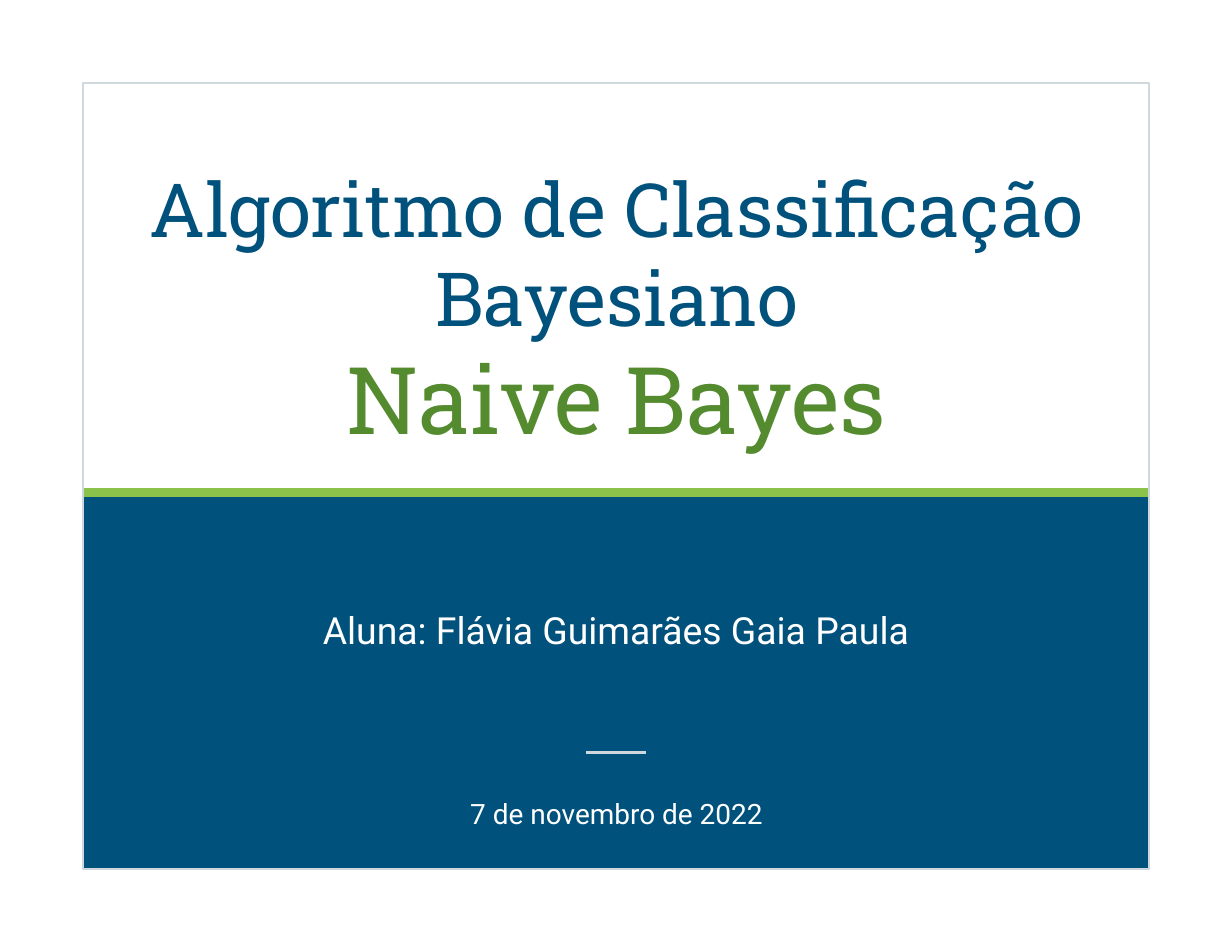
from dataclasses import dataclass

import lxml.etree
import pptx
import pptx.dml.color
import pptx.enum.shapes
import pptx.enum.text
import pptx.oxml.ns
import pptx.slide
import pptx.util

Inches = pptx.util.Inches
Pt = pptx.util.Pt

NAVY, GREEN, LIME, GREY, WHITE = "00517C", "558B2F", "8BC34A", "CFD8DC", "FFFFFF"


@dataclass
class Panel:
    top: float
    height: float
    fill: str


@dataclass
class Rule:
    left: float
    right: float
    y: float
    color: str
    width: float


@dataclass
class Line:
    text: str
    size: int
    color: str


PANELS = [Panel(0.74, 3.92, WHITE), Panel(4.4, 3.36, NAVY)]
RULES = [Rule(0.75, 10.25, 4.4, LIME, 6), Rule(5.23, 5.77, 6.72, GREY, 1.5)]
TITLE = [
    Line("Algoritmo de Classificação Bayesiano", 48, NAVY),
    Line("Naive Bayes", 60, GREEN),
]
STUDENT = [Line("Aluna: Flávia Guimarães Gaia Paula", 24, WHITE)]
DATE = [Line("7 de novembro de 2022", 18, WHITE)]


def rgb(color: str) -> pptx.dml.color.RGBColor:
    return pptx.dml.color.RGBColor.from_string(color)


def add_panel(s: pptx.slide.Slide, panel: Panel) -> None:
    sp = s.shapes.add_shape(
        pptx.enum.shapes.MSO_SHAPE.RECTANGLE,
        Inches(0.74), Inches(panel.top), Inches(9.52), Inches(panel.height),
    )
    sp.shadow.inherit = False
    sp.fill.solid()
    sp.fill.fore_color.rgb = rgb(panel.fill)
    sp.line.color.rgb = rgb(GREY)
    sp.line.width = Pt(1.5)


def add_rule(s: pptx.slide.Slide, rule: Rule) -> None:
    sp = s.shapes.add_connector(
        pptx.enum.shapes.MSO_CONNECTOR.STRAIGHT,
        Inches(rule.left), Inches(rule.y), Inches(rule.right), Inches(rule.y),
    )
    sp.line.color.rgb = rgb(rule.color)
    sp.line.width = Pt(rule.width)
    lxml.etree.SubElement(sp._element.spPr, pptx.oxml.ns.qn("a:effectLst"))


def add_text(
    s: pptx.slide.Slide,
    lines: list[Line],
    *,
    left: float,
    top: float,
    width: float,
    height: float,
    font: str = "Roboto",
    anchor: pptx.enum.text.MSO_ANCHOR = pptx.enum.text.MSO_ANCHOR.TOP,
    spacing: float = 1.15,
) -> None:
    sp = s.shapes.add_textbox(Inches(left), Inches(top), Inches(width), Inches(height))
    tf = sp.text_frame
    tf.word_wrap = True
    tf.vertical_anchor = anchor
    tf.margin_left = tf.margin_right = tf.margin_top = tf.margin_bottom = Inches(0.12)
    for i, line in enumerate(lines):
        p = tf.add_paragraph() if i else tf.paragraphs[0]
        p.alignment = pptx.enum.text.PP_ALIGN.CENTER
        p.line_spacing = spacing
        r = p.add_run()
        r.text = line.text
        r.font.name = font
        r.font.size = Pt(line.size)
        r.font.color.rgb = rgb(line.color)


def main() -> None:
    prs = pptx.Presentation()
    prs.slide_width, prs.slide_height = Inches(11), Inches(8.5)
    s = prs.slides.add_slide(prs.slide_layouts[6])
    for panel in PANELS:
        add_panel(s, panel)
    for rule in RULES:
        add_rule(s, rule)
    add_text(
        s, TITLE, left=1.11, top=0.9, width=8.79, height=3.27,
        font="Roboto Slab", anchor=pptx.enum.text.MSO_ANCHOR.BOTTOM, spacing=1.0,
    )
    add_text(s, STUDENT, left=0.74, top=5.24, width=9.52, height=1.07)
    add_text(s, DATE, left=1.11, top=6.95, width=8.79, height=0.66)
    prs.save("out.pptx")


if __name__ == "__main__":
    main()
